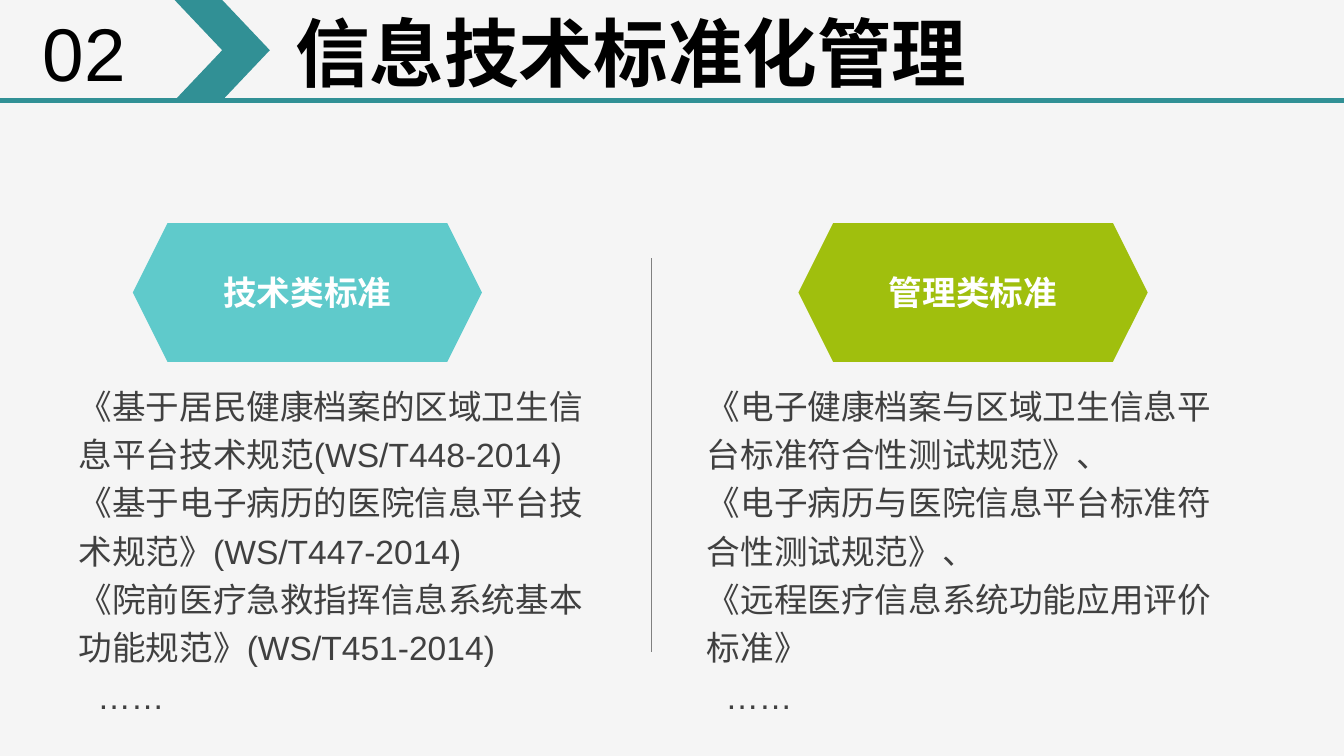
from pptx import Presentation
from pptx import util as u
from pptx.dml import color
from pptx.enum import shapes, text
from pptx.oxml import ns, xmlchemy as xml

Cm, Pt = u.Cm, u.Pt
FORM = shapes.MSO_SHAPE
TEAL, BLACK, WHITE, GREY = "319095", "000000", "FFFFFF", "404040"
DOTS = "……"


def rgb(code):
    return color.RGBColor.from_string(code)


class Deck:
    """Style and current slide."""
    font = "Arial"
    pad = (0.2, 0.1)

    def __init__(self, wide, high, back):
        self.prs = Presentation()
        self.prs.slide_width, self.prs.slide_height = Cm(wide), Cm(high)
        self.slide = self.prs.slides.add_slide(self.prs.slide_layouts[6])
        fill = self.slide.background.fill
        fill.solid()
        fill.fore_color.rgb = rgb(back)

    def line(self, x1, y1, x2, y2, tint, width):
        rule = self.slide.shapes.add_connector(
            shapes.MSO_CONNECTOR.STRAIGHT, Cm(x1), Cm(y1), Cm(x2), Cm(y2))
        rule.line.color.rgb = rgb(tint)
        rule.line.width = Pt(width)
        rule._element.spPr.append(xml.OxmlElement("a:effectLst"))

    def shape(self, form, box, tint):
        item = self.slide.shapes.add_shape(form, *map(Cm, box))
        item.shadow.inherit = False
        item.fill.solid()
        item.fill.fore_color.rgb = rgb(tint)
        item.line.fill.background()
        return item

    def inset(self, frame):
        frame.margin_left = frame.margin_right = Cm(self.pad[0])
        frame.margin_top = frame.margin_bottom = Cm(self.pad[1])

    def run(self, par, words, size, tint, bold=False):
        run = par.add_run()
        run.text = words
        font = run.font
        font.name, font.size, font.bold = self.font, Pt(size), bold
        font.color.rgb = rgb(tint)

    def label(self, box, tint, words):
        """Filled hexagon with a centred heading."""
        frame = self.shape(FORM.HEXAGON, box, tint).text_frame
        self.inset(frame)
        frame.vertical_anchor = text.MSO_ANCHOR.MIDDLE
        par = frame.paragraphs[0]
        par.alignment = text.PP_ALIGN.CENTER
        self.run(par, words, 18, WHITE, True)

    def frame(self, box, wrap=True):
        frame = self.slide.shapes.add_textbox(*map(Cm, box)).text_frame
        frame.word_wrap = wrap
        frame.auto_size = text.MSO_AUTO_SIZE.SHAPE_TO_FIT_TEXT
        return frame

    def head(self, box, words, bold=False, wrap=True):
        frame = self.frame(box, wrap)
        self.inset(frame)
        self.run(frame.paragraphs[0], words, 40, BLACK, bold)

    def body(self, box, lines):
        frame = self.frame(box)
        for i, words in enumerate(lines):
            par = frame.add_paragraph() if i else frame.paragraphs[0]
            par.line_spacing = 1.2
            if words == DOTS:
                par._p.get_or_add_pPr().set("indent", str(Cm(0.35)))
            self.run(par, words, 18, GREY)


COLUMNS = [
    (2.51, "5FCACB", "技术类标准", 1.24, 10.06, [
        "《基于居民健康档案的区域卫生信息平台技术规范(WS/T448-2014)",
        "《基于电子病历的医院信息平台技术规范》(WS/T447-2014)",
        "《院前医疗急救指挥信息系统基本功能规范》(WS/T451-2014)",
        DOTS]),
    (15.09, "A0BF0D", "管理类标准", 13.11, 10.34, [
        "《电子健康档案与区域卫生信息平台标准符合性测试规范》、",
        "《电子病历与医院信息平台标准符合性测试规范》、",
        "《远程医疗信息系统功能应用评价标准》",
        DOTS]),
]


def main():
    deck = Deck(25.4, 14.29, "F5F5F5")
    deck.line(12.3, 4.88, 12.3, 12.32, "808080", 0.25)
    for left, tint, name, edge, wide, lines in COLUMNS:
        deck.label((left, 4.22, 6.6, 2.62), tint, name)
        deck.body((edge, 7.01, wide, 6.73), lines)
    deck.line(0, 1.9, 25.4, 1.9, TEAL, 2.25)
    deck.head((5.38, 0.03, 17.09, 1.93), "信息技术标准化管理", bold=True)
    deck.shape(FORM.CHEVRON, (3.3, 0, 1.8, 1.9), TEAL)
    deck.head((0.61, 0.03, 2.01, 1.93), "02", wrap=False)
    deck.prs.save("out.pptx")


if __name__ == "__main__":
    main()
